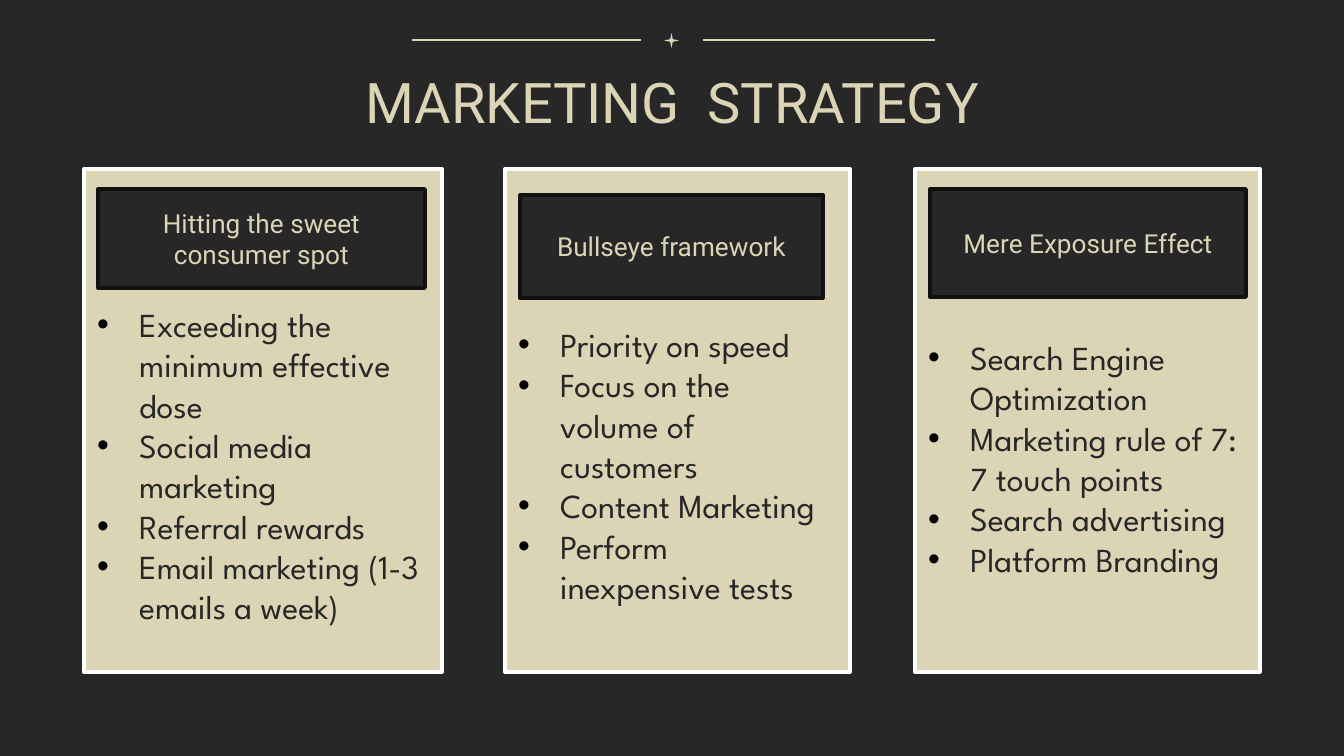
import pptx
import pptx.util
import pptx.dml.color
import pptx.enum.shapes
import pptx.enum.text
import pptx.oxml.ns
from lxml import etree

SCALE = 914400 / 134.4  # EMU in one px
COLORS = {"dark": "272727", "sand": "DBD5B5", "white": "FFFFFF",
          "edge": "111111", "dot": "000000"}
HEAD, BODY = "Roboto", "League Spartan"
SHAPE = pptx.enum.shapes.MSO_SHAPE
ALIGN = pptx.enum.text.PP_ALIGN
ANCHOR = pptx.enum.text.MSO_ANCHOR


def px(num):
    return pptx.util.Emu(round(num * SCALE))


def rgb(name):
    return pptx.dml.color.RGBColor.from_string(COLORS[name])


def add(parent, tag, **attrs):
    return etree.SubElement(parent, pptx.oxml.ns.qn(tag), attrs)


class Deck:
    def __init__(self, wide, high):
        self.show = pptx.Presentation()
        self.show.slide_width, self.show.slide_height = px(wide), px(high)
        self.slide = self.show.slides.add_slide(self.show.slide_layouts[6])
        fill = self.slide.background.fill
        fill.solid()
        fill.fore_color.rgb = rgb("dark")

    def shape(self, kind, box, fill, edge=None):
        item = self.slide.shapes.add_shape(kind, *map(px, box))
        item.shadow.inherit = False
        item.fill.solid()
        item.fill.fore_color.rgb = rgb(fill)
        if edge:
            item.line.color.rgb = rgb(edge)
            item.line.width = pptx.util.Pt(2)
            add(item.line._get_or_add_ln(), "a:round")
        else:
            item.line.fill.background()
        return item

    def rule(self, left, right, top):
        line = self.slide.shapes.add_connector(
            pptx.enum.shapes.MSO_CONNECTOR.STRAIGHT,
            px(left), px(top), px(right), px(top))
        line.line.color.rgb = rgb("sand")
        line.line.width = pptx.util.Pt(0.75)
        add(line._element.spPr, "a:effectLst")

    def style(self, para, text, size, face, color, align):
        para.text = text
        para.alignment = align
        para.font.size = pptx.util.Pt(size)
        para.font.name = face
        para.font.color.rgb = rgb(color)

    def title(self, text, box):
        frame = self.slide.shapes.add_textbox(*map(px, box)).text_frame
        frame.word_wrap = True
        frame.margin_top = frame.margin_bottom = px(13)
        self.style(frame.paragraphs[0], text, 30, HEAD, "sand", ALIGN.CENTER)

    def label(self, text, box):
        frame = self.shape(SHAPE.RECTANGLE, box, "dark", "edge").text_frame
        frame.vertical_anchor = ANCHOR.MIDDLE
        self.style(frame.paragraphs[0], text, 14, HEAD, "sand", ALIGN.CENTER)

    def card(self, items, box, inset):
        frame = self.shape(SHAPE.RECTANGLE, box, "sand", "white").text_frame
        frame.vertical_anchor = ANCHOR.TOP
        frame.margin_top = px(inset)
        for num, text in enumerate(items):
            para = frame.add_paragraph() if num else frame.paragraphs[0]
            props = para._p.get_or_add_pPr()
            props.set("marL", str(px(42)))
            props.set("indent", str(-px(42)))
            tint = add(props, "a:buClr")
            add(tint, "a:srgbClr", val=COLORS["dot"])
            add(props, "a:buFont", typeface="Arial")
            add(props, "a:buChar", char="•")
            self.style(para, text, 18, BODY, "dark", ALIGN.LEFT)


# Each card: left, width, text inset, header box, header, list
CARDS = [
    (84, 358, 135, (98, 189, 327, 99), "Hitting the sweet consumer spot",
     ["Exceeding the minimum effective dose", "Social media marketing",
      "Referral rewards", "Email marketing (1-3 emails a week)"]),
    (505, 345, 155, (520, 195, 303, 103), "Bullseye framework",
     ["Priority on speed", "Focus on the volume of customers",
      "Content Marketing", "Perform inexpensive tests"]),
    (915, 345, 168, (930, 189, 316, 108), "Mere Exposure Effect",
     ["Search Engine Optimization", "Marketing rule of 7: 7 touch points",
      "Search advertising", "Platform Branding"]),
]


def main():
    deck = Deck(1344, 756)

    # Ornament above the title
    star = deck.shape(SHAPE.STAR_4_POINT, (664, 33, 15, 15), "sand")
    star.adjustments[0] = 0.125
    for left, right in ((412, 641), (703, 935)):
        deck.rule(left, right, 40)

    # Title
    deck.title("MARKETING  STRATEGY", (106, 54, 1133, 81))

    # Cards with headers
    for left, wide, inset, box, head, items in CARDS:
        deck.card(items, (left, 169, wide, 503), inset)
        deck.label(head, box)

    deck.show.save("out.pptx")


if __name__ == "__main__":
    main()
